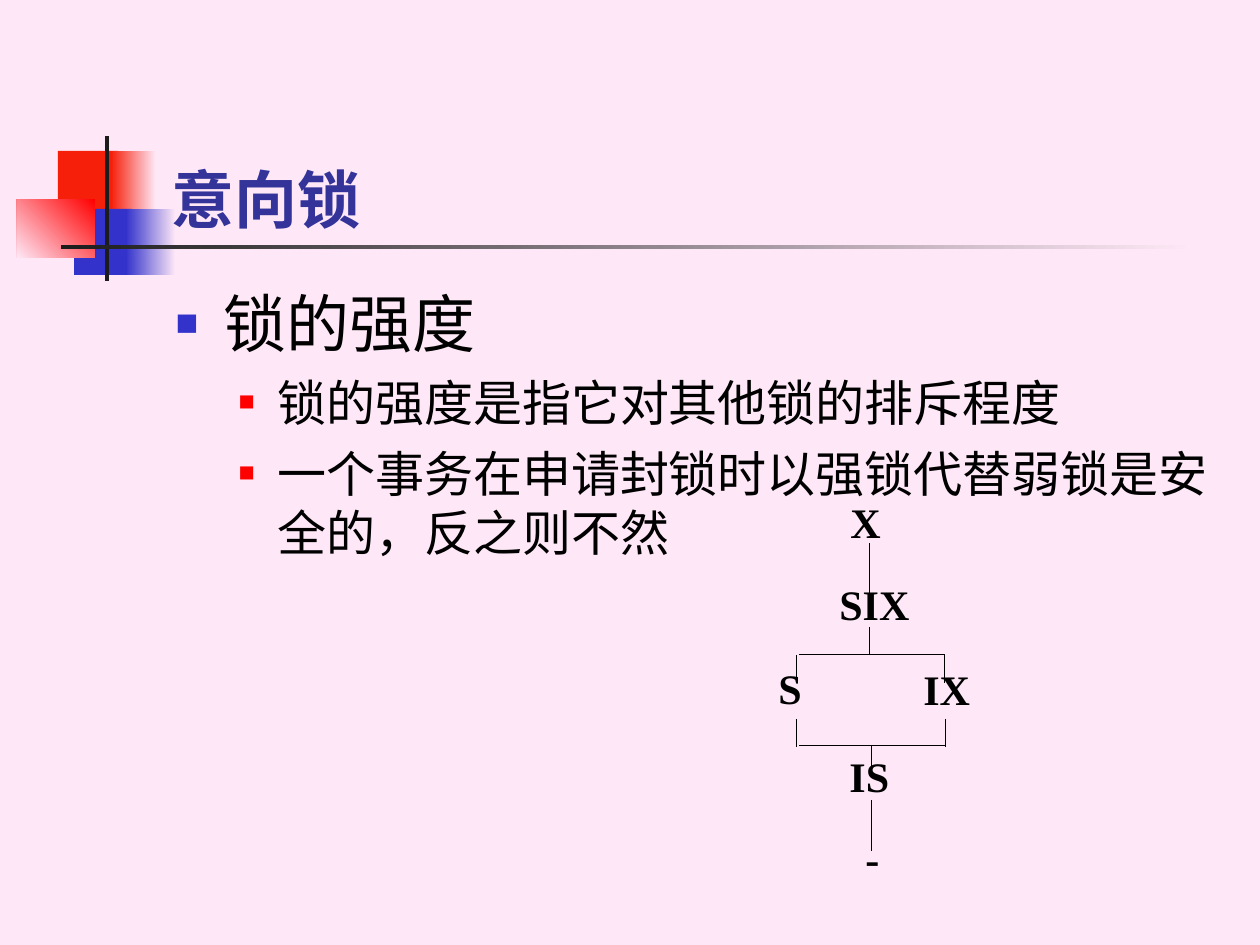
from lxml.etree import SubElement
from pptx import Presentation
from pptx.dml.color import RGBColor
from pptx.enum.shapes import MSO_CONNECTOR as Connector, MSO_SHAPE as Shape
from pptx.enum.text import MSO_ANCHOR as Anchor, MSO_AUTO_SIZE as AutoSize, PP_ALIGN as Align
from pptx.oxml.ns import qn
from pptx.util import Pt

EMU_PER_PX = 914400 / 126
BACKGROUND, RED, BLUE, DARK = "FEE8F7", "F6200A", "3333CC", "1C1C1C"

TITLE_FONT = {"name": "Cabin", "size": Pt(36), "bold": True}
HEADING_FONT = {"name": "Cabin", "size": Pt(36), "bold": False}
POINT_FONT = {"name": "Cabin", "size": Pt(28), "bold": False}
LOCK_FONT = {"name": "Times New Roman", "size": Pt(24), "bold": True}

# Box in px, gradient stops or a single colour, counter-clockwise angle
DECORATIONS = [
    ((58, 151, 60, 66), [RED], 0),
    ((111, 151, 45, 66), [BACKGROUND, RED], 180),
    ((74, 209, 58, 66), [BLUE], 0),
    ((126, 209, 50, 66), [BACKGROUND, BLUE], 180),
    ((17, 199, 78, 59), ["FF0000", BACKGROUND], 225),
    ((105, 136, 4, 145), [DARK], 0),
    ((61, 245, 1134, 4), [BACKGROUND, DARK], 180),
]

# Text, level, left indent, hanging px, space before, bullet colour, bullet percent, font
POINTS = [
    ("锁的强度", 0, 48, 48, 0, BLUE, 60, HEADING_FONT),
    ("锁的强度是指它对其他锁的排斥程度", 1, 102, 39, 7, "FF0000", 55, POINT_FONT),
    ("一个事务在申请封锁时以强锁代替弱锁是安全的，反之则不然", 1, 102, 39, 7, "FF0000", 55, POINT_FONT),
]

LOCKS = [
    ("X", (838, 494, 74, 58)),
    ("SIX", (827, 576, 106, 71)),
    ("S", (766, 660, 69, 71)),
    ("IX", (911, 661, 76, 71)),
    ("IS", (837, 748, 95, 71)),
    ("-", (853, 830, 62, 63)),
]
BRANCH_LEFT, BRANCH_RIGHT = 799, 945
BRANCH_ROWS = (654, 745)
# x, top, bottom
STEMS = [
    (869, 543, 595), (869, 627, 654),
    (796, 655, 683), (944, 655, 683),
    (796, 719, 747), (945, 719, 747),
    (871, 745, 771), (871, 800, 851),
]


def px(value):
    return round(value * EMU_PER_PX)


def color(value):
    return RGBColor.from_string(value)


def apply_format(target, values):
    for name, value in values.items():
        setattr(target, name, value)


def place(shape, box):
    apply_format(shape, dict(zip(("left", "top", "width", "height"), map(px, box))))


def write(paragraph, text, font, font_color):
    paragraph.text = text
    apply_format(paragraph.font, font)
    paragraph.font.color.rgb = color(font_color)


def add_decoration(shapes, box, colors, angle):
    shape = shapes.add_shape(Shape.RECTANGLE, *map(px, box))
    shape.shadow.inherit = False
    shape.line.fill.background()
    if len(colors) == 1:
        shape.fill.solid()
        shape.fill.fore_color.rgb = color(colors[0])
        return
    shape.fill.gradient()
    shape.fill.gradient_angle = angle
    for stop, value, position in zip(shape.fill.gradient_stops, colors, (0, 1)):
        stop.color.rgb = color(value)
        stop.position = position


def add_bullet(paragraph, indent, hanging, bullet_color, percent):
    properties = paragraph._p.get_or_add_pPr()
    properties.set("marL", str(px(indent)))
    properties.set("indent", str(-px(hanging)))
    holder = SubElement(properties, qn("a:buClr"))
    SubElement(holder, qn("a:srgbClr"), val=bullet_color)
    SubElement(properties, qn("a:buSzPct"), val=str(percent * 1000))
    SubElement(properties, qn("a:buChar"), char="■")


def fill_title(title):
    place(title, (159, 84, 1074, 158))
    frame = title.text_frame
    apply_format(frame, {"vertical_anchor": Anchor.BOTTOM, "auto_size": AutoSize.NONE})
    write(frame.paragraphs[0], "意向锁", TITLE_FONT, "333399")
    frame.paragraphs[0].alignment = Align.LEFT


def fill_body(body):
    place(body, (163, 278, 1071, 567))
    frame = body.text_frame
    frame.auto_size = AutoSize.NONE
    for number, (text, level, indent, hanging, before, bullet_color, percent, font) in enumerate(POINTS):
        paragraph = frame.add_paragraph() if number else frame.paragraphs[0]
        add_bullet(paragraph, indent, hanging, bullet_color, percent)
        apply_format(paragraph, {"level": level, "space_before": Pt(before)})
        write(paragraph, text, font, "000000")


def add_line(shapes, x1, y1, x2, y2):
    line = shapes.add_connector(Connector.STRAIGHT, *map(px, (x1, y1, x2, y2)))
    line.line.color.rgb = color("000000")
    line.line.width = Pt(0.5)
    SubElement(line._element.spPr, qn("a:effectLst"))


def add_lock(shapes, text, box):
    frame = shapes.add_textbox(*map(px, box)).text_frame
    frame.word_wrap = True
    paragraph = frame.paragraphs[0]
    apply_format(paragraph, {"alignment": Align.JUSTIFY, "line_spacing": 0.96})
    write(paragraph, text, LOCK_FONT, "000000")


def add_lock_lattice(slide):
    shapes = slide.shapes.add_group_shape().shapes
    for y in BRANCH_ROWS:
        add_line(shapes, BRANCH_LEFT, y, BRANCH_RIGHT, y)
    for x, top, bottom in STEMS:
        add_line(shapes, x, top, x, bottom)
    for text, box in LOCKS:
        add_lock(shapes, text, box)


def main():
    presentation = Presentation()
    apply_format(presentation, {"slide_width": px(1260), "slide_height": px(945)})
    slide = presentation.slides.add_slide(presentation.slide_layouts[1])
    slide.background.fill.solid()
    slide.background.fill.fore_color.rgb = color(BACKGROUND)

    title, body = slide.placeholders
    for box, colors, angle in DECORATIONS:
        add_decoration(slide.shapes, box, colors, angle)
    for placeholder in (title, body):  # bring the text in front of the decoration
        slide.shapes._spTree.append(placeholder._element)
    fill_title(title)
    fill_body(body)
    add_lock_lattice(slide)
    presentation.save("out.pptx")


if __name__ == "__main__":
    main()
